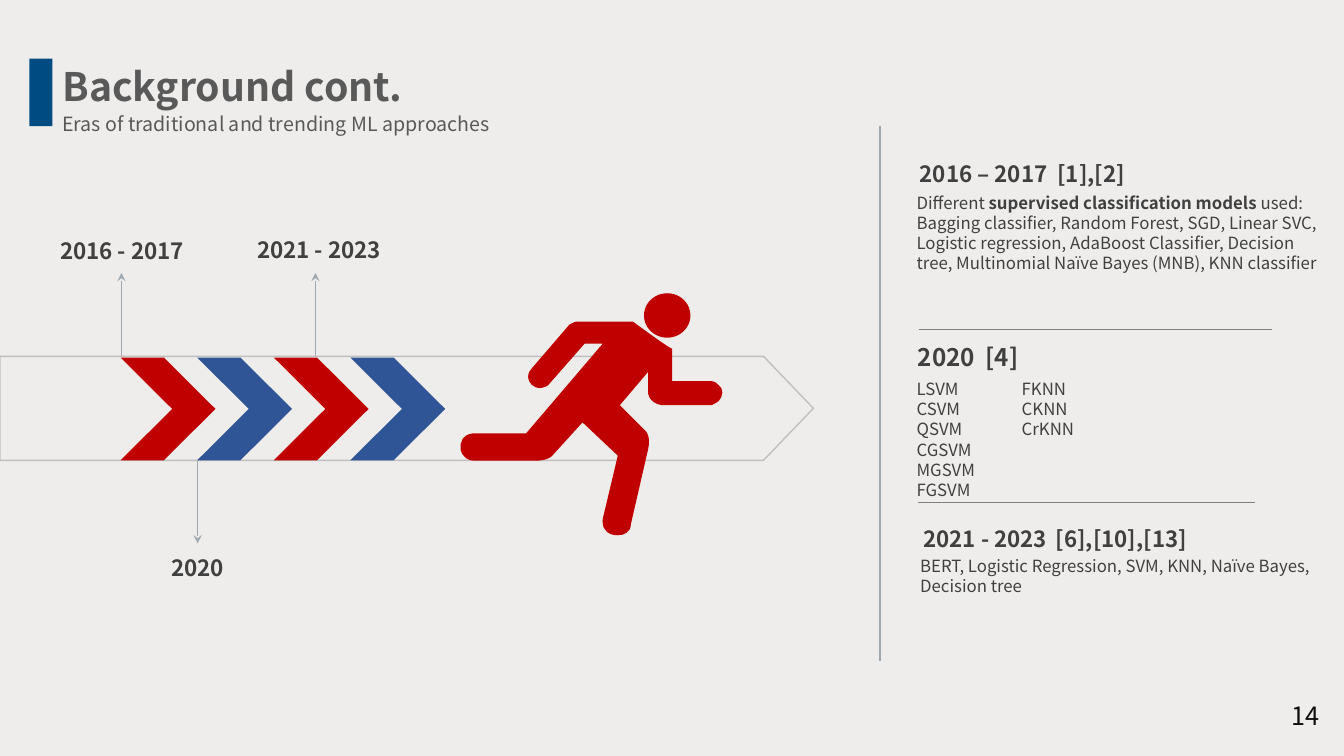
"""Builds a slide on the eras of machine learning approaches with a runner timeline."""
from lxml import etree
from pptx import Presentation
from pptx import util as u
from pptx.dml import color
from pptx.enum import shapes, text
from pptx.oxml import ns

FONT = "Noto Sans CJK SC"
COLORS = {
    "background": "EEEDEB", "red": "C00000", "blue": "2F5597", "accent": "004B82",
    "outline": "BFBFBF", "arrow": "9DA8B1", "rule": "808080",
    "title": "595959", "body": "404040", "number": "0D0D0D",
}
RUNNER_START = (469, 430)
RUNNER_STEPS = [
    (469, 430, 470, 430, 472, 430), (522, 430), (598, 341), (580, 341), (544, 382),
    (543, 383, 539, 385, 535, 385), (530, 385, 524, 380, 524, 374),
    (524, 370, 526, 367, 528, 365), (565, 322), (569, 320, 570, 319, 574, 319),
    (628, 319), (628, 319, 663, 345, 667, 346), (667, 378), (706, 378),
    (709, 378, 711, 380, 713, 382), (718, 385, 718, 393, 713, 398),
    (711, 400, 709, 400, 706, 402), (657, 402), (643, 400, 643, 389, 643, 389),
    (643, 369), (615, 402), (641, 428), (641, 428, 646, 433, 643, 446), (626, 520),
    (626, 528, 619, 531, 613, 531), (604, 531, 598, 526, 598, 518),
    (598, 517, 598, 515, 598, 515), (613, 452), (578, 419), (548, 452),
    (548, 452, 544, 457, 532, 457), (470, 457), (465, 457, 459, 454, 457, 446),
    (456, 439, 459, 431, 469, 430),
]


def rgb(name):
    """Return the named colour."""
    return color.RGBColor.from_string(COLORS[name])


def cm(box):
    """Convert centimetre numbers to lengths."""
    return [u.Cm(value) for value in box]


def paint(shape, fill=None, line=None):
    """Set fill and outline and drop the shadow."""
    shape.shadow.inherit = False
    if fill:
        shape.fill.solid()
        shape.fill.fore_color.rgb = rgb(fill)
    else:
        shape.fill.background()
    if line:
        shape.line.color.rgb = rgb(line)
        shape.line.width = u.Pt(1)
    else:
        shape.line.fill.background()


def add_figure(slide, kind, box, fill=None, line=None, adjustment=None):
    """Add a preset shape."""
    figure = slide.shapes.add_shape(kind, *cm(box))
    if adjustment is not None:
        figure.adjustments[0] = adjustment
    paint(figure, fill, line)


def add_line(slide, ends, stroke, width=1, arrow=False):
    """Add a straight line, with an arrowhead at its end if wanted."""
    line = slide.shapes.add_connector(shapes.MSO_CONNECTOR.STRAIGHT, *cm(ends))
    line.line.color.rgb = rgb(stroke)
    line.line.width = u.Pt(width)
    properties = line._element.spPr
    if arrow:
        etree.SubElement(properties.find(ns.qn("a:ln")), ns.qn("a:tailEnd"), type="stealth")
    etree.SubElement(properties, ns.qn("a:effectLst"))


def set_font(paragraph, size, ink, bold=False):
    """Format a whole paragraph."""
    font = paragraph.font
    font.name, font.size, font.bold = FONT, u.Pt(size), bold
    font.color.rgb = rgb(ink)


def add_text(slide, box, lines, size, ink="body", bold=False, tab=None):
    """Add a wrapping text box with one paragraph per line and an optional tab stop."""
    frame = slide.shapes.add_textbox(*cm(box)).text_frame
    frame.word_wrap = True
    for index, line in enumerate(lines):
        paragraph = frame.add_paragraph() if index else frame.paragraphs[0]
        for position, part in enumerate(line.split("**")):
            run = paragraph.add_run()
            run.text = part
            if position % 2:
                run.font.bold = True
        set_font(paragraph, size, ink, bold)
        if tab and "\t" in line:
            properties = paragraph._p.get_or_add_pPr()
            stops = etree.SubElement(properties, ns.qn("a:tabLst"))
            etree.SubElement(stops, ns.qn("a:tab"), pos=str(u.Cm(tab)), algn="l")
            properties.append(properties.find(ns.qn("a:defRPr")))
    return frame


def add_heading(slide, box, words, size=16, tab=None, centred=False):
    """Add a bold label without insets, centred vertically."""
    frame = add_text(slide, box, [words], size, bold=True, tab=tab)
    frame.margin_left = frame.margin_right = frame.margin_top = frame.margin_bottom = 0
    frame.vertical_anchor = text.MSO_ANCHOR.MIDDLE
    if centred:
        frame.paragraphs[0].alignment = text.PP_ALIGN.CENTER


def add_title(slide, words):
    """Place and format the title placeholder."""
    title = slide.shapes.title
    title.left, title.top, title.width, title.height = cm((1.32, 1.45, 12.5, 1.45))
    title.text_frame.text = words
    title.text_frame.vertical_anchor = text.MSO_ANCHOR.TOP
    title.text_frame.paragraphs[0].alignment = text.PP_ALIGN.LEFT
    set_font(title.text_frame.paragraphs[0], 28, "title", True)


def add_runner(slide):
    """Add the running figure from a head and a body outline with rounded joints."""
    add_figure(slide, shapes.MSO_SHAPE.OVAL, (16.23, 7.39, 1.17, 1.12), "red")
    ends = [step[-2:] for step in RUNNER_STEPS]
    left, top = (min(values) for values in zip(*ends))
    builder = slide.shapes.build_freeform(*RUNNER_START, scale=u.Cm(2.54) / 100)
    builder.add_line_segments(ends, close=True)
    body = builder.convert_to_shape()
    paint(body, "red")
    for segment, step in zip(list(body._element.iter(ns.qn("a:lnTo"))), RUNNER_STEPS):
        if len(step) == 6:
            bend = etree.Element(ns.qn("a:cubicBezTo"))
            for x, y in zip(step[::2], step[1::2]):
                etree.SubElement(bend, ns.qn("a:pt"), x=str(x - left), y=str(y - top))
            segment.getparent().replace(segment, bend)


def add_timeline(slide):
    """Add the track, its chevrons, the runner and the dated arrows."""
    add_figure(slide, shapes.MSO_SHAPE.PENTAGON, (0, 8.98, 20.5, 2.62), None, "outline", 0.48)
    for index in range(4):
        add_figure(slide, shapes.MSO_SHAPE.CHEVRON, (3.04 + 1.93 * index, 9.01, 2.39, 2.59),
                   ("red", "blue")[index % 2], adjustment=0.544)
    add_runner(slide)
    for era, x, base, tip, centre, label_top in [
        ("2016 - 2017", 3.06, 8.98, 6.88, 3.08, 5.49),
        ("2020", 4.98, 11.58, 13.69, 4.98, 13.49),
        ("2021 - 2023", 7.95, 8.98, 6.88, 8.04, 5.48),
    ]:
        add_line(slide, (x, base, x, tip), "arrow", arrow=True)
        add_heading(slide, (centre - 1.74, label_top, 3.48, 1.63), era, centred=True)


def add_eras(slide):
    """Add the three described eras and their rules."""
    add_line(slide, (22.18, 3.18, 22.18, 16.66), "arrow")
    add_heading(slide, (23.18, 4.01, 6.88, 0.71), "2016 – 2017\t[1],[2]", tab=3.47)
    add_text(slide, (22.85, 4.72, 10.72, 3.53), [
        "Different **supervised classification models **used:",
        "Bagging classifier, Random Forest, SGD, Linear SVC, Logistic regression, AdaBoost "
        "Classifier, Decision tree, Multinomial Naïve Bayes (MNB), KNN classifier"], 12)
    add_line(slide, (23.16, 8.29, 32.05, 8.29), "rule", 0.25)
    add_heading(slide, (23.13, 8.66, 6.6, 0.66), "2020\t[4]", 17.3, tab=1.71)
    add_text(slide, (22.85, 9.42, 7.52, 3.33), [
        "LSVM\tFKNN", "CSVM\tCKNN", "QSVM\tCrKNN", "CGSVM", "MGSVM", "FGSVM"], 12, tab=2.65)
    add_line(slide, (23.13, 12.65, 31.62, 12.65), "rule", 0.25)
    add_heading(slide, (23.27, 13.26, 7.9, 0.61), "2021 - 2023\t[6],[10],[13]", 15.9, tab=3.34)
    add_text(slide, (22.94, 13.87, 10.72, 1.27), [
        "BERT, Logistic Regression, SVM, KNN, Naïve Bayes, Decision tree"], 12)


def main():
    """Build and save the presentation."""
    deck = Presentation()
    deck.slide_width, deck.slide_height = cm((33.87, 19.05))
    slide = deck.slides.add_slide(deck.slide_layouts[5])
    add_figure(slide, shapes.MSO_SHAPE.RECTANGLE, (0, 0, 33.87, 19.05), "background")
    add_timeline(slide)
    add_eras(slide)
    add_figure(slide, shapes.MSO_SHAPE.RECTANGLE, (0.74, 1.48, 0.58, 1.7), "accent")
    add_title(slide, "Background cont.")
    title = slide.shapes.title._element
    title.getparent().append(title)
    subtitle = add_text(slide, (1.32, 2.39, 17.07, 1.04),
                        ["Eras of traditional and trending ML approaches"], 14, "title")
    subtitle.paragraphs[0].line_spacing = 1.5
    add_text(slide, (32.31, 17.53, 1.37, 1.02), ["14"], 18, "number")
    deck.save("out.pptx")


if __name__ == "__main__":
    main()
